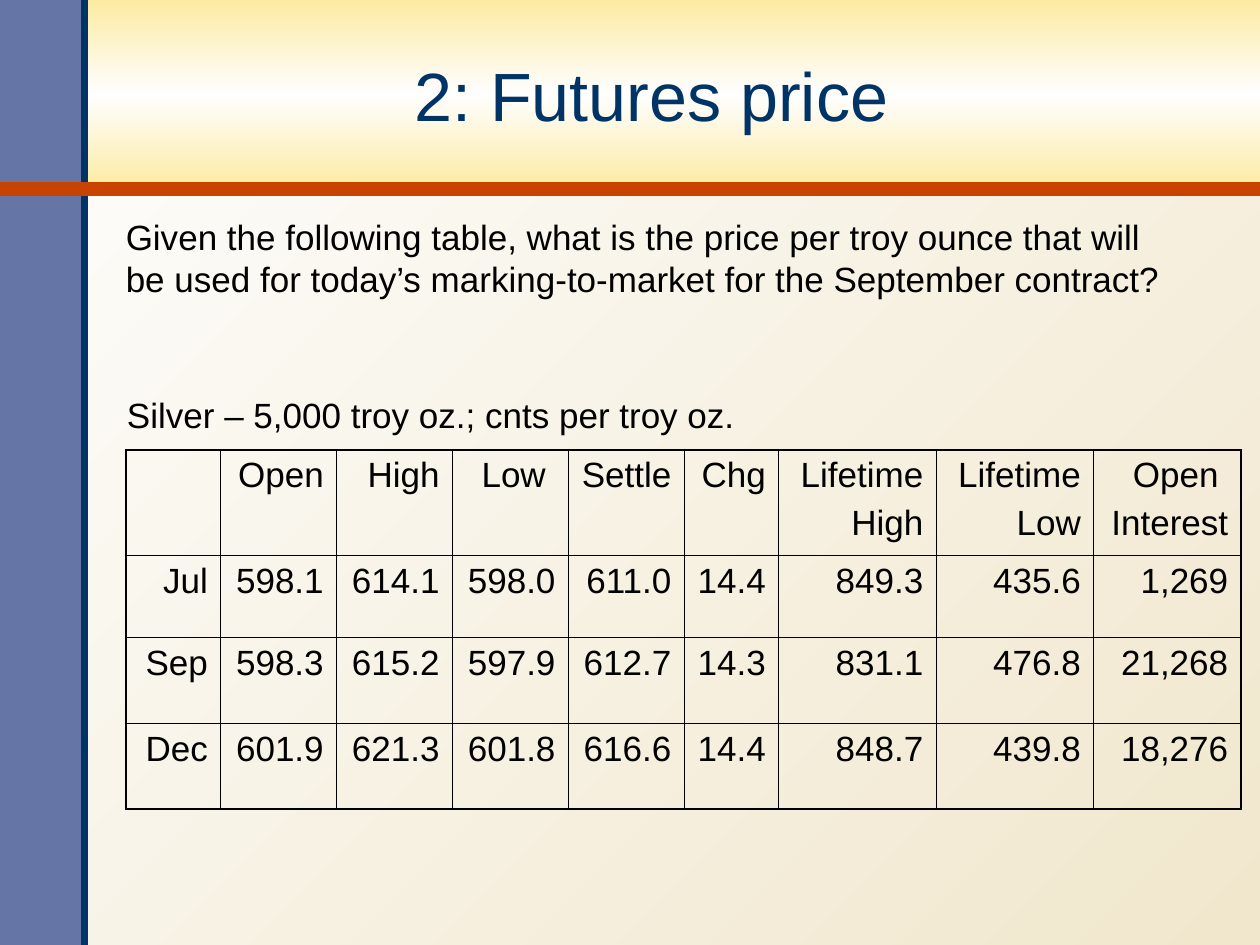
"""Build the silver futures price question slide."""
from lxml.etree import SubElement
from pptx import Presentation
from pptx.dml.color import RGBColor
from pptx.enum.shapes import MSO_CONNECTOR, MSO_SHAPE
from pptx.enum.text import MSO_ANCHOR, MSO_AUTO_SIZE, PP_ALIGN
from pptx.oxml.ns import qn
from pptx.util import Inches, Pt

NAVY = RGBColor(0x00, 0x33, 0x66)
SLATE = RGBColor(0x64, 0x75, 0xA6)
RUST = RGBColor(0xC8, 0x43, 0x00)
YELLOW = RGBColor(0xFD, 0xEB, 0xA1)
SAND = RGBColor(0xF1, 0xE7, 0xCD)
WHITE = RGBColor(0xFE, 0xFE, 0xFE)
BLACK = RGBColor(0, 0, 0)

TITLE = "2: Futures price"
TEXTS = [
    ((0.91, 3.07, 5.2, 0.44), ["Silver – 5,000 troy oz.; cnts per troy oz."]),
    ((0.9, 1.66, 8.5, 0.77), [
        "Given the following table, what is the price per troy ounce that will",
        "be used for today’s marking-to-market for the September contract?"]),
]
RULES = [
    ((0.67, 7.5, 0.67, 0), NAVY, 4),
    ((0, 1.5, 10, 1.5), RUST, 8),
]
PRICES = [
    ["", "Open", "High", "Low ", "Settle", "Chg",
     "Lifetime\nHigh", "Lifetime\nLow", "Open \nInterest"],
    ["Jul", "598.1", "614.1", "598.0", "611.0", "14.4", "849.3", "435.6", "1,269"],
    ["Sep", "598.3", "615.2", "597.9", "612.7", "14.3", "831.1", "476.8", "21,268"],
    ["Dec", "601.9", "621.3", "601.8", "616.6", "14.4", "848.7", "439.8", "18,276"],
]
COL_WIDTHS = [0.75, 0.92, 0.92, 0.92, 0.92, 0.75, 1.25, 1.25, 1.17]
ROW_HEIGHTS = [0.84, 0.65, 0.68, 0.68]
THIN, THICK = Pt(0.45), Pt(1.08)


def inches(values):
    return [Inches(v) for v in values]


def set_gradient(fill, root, colors, angle):
    fill.gradient()
    fill.gradient_angle = angle
    stops = root.find(".//" + qn("a:gsLst"))
    for stop in list(stops):
        stops.remove(stop)
    for i, color in enumerate(colors):
        gs = SubElement(stops, qn("a:gs"), pos=str(100000 * i // (len(colors) - 1)))
        SubElement(gs, qn("a:srgbClr"), val=str(color))


def add_panel(slide, box):
    s = slide.shapes.add_shape(MSO_SHAPE.RECTANGLE, *inches(box))
    s.shadow.inherit = False
    s.line.fill.background()
    return s


def add_rule(slide, ends, color, width):
    s = slide.shapes.add_connector(MSO_CONNECTOR.STRAIGHT, *inches(ends))
    s.line.color.rgb = color
    s.line.width = Pt(width)
    SubElement(s._element.spPr, qn("a:effectLst"))


def set_font(p, size, color):
    p.font.name = "Arial"
    p.font.size = Pt(size)
    p.font.color.rgb = color


def add_text(slide, box, lines):
    tf = slide.shapes.add_textbox(*inches(box)).text_frame
    tf.word_wrap = True
    tf.auto_size = MSO_AUTO_SIZE.NONE
    tf.text = "\n".join(lines)
    for p in tf.paragraphs:
        set_font(p, 20, BLACK)


def set_borders(cell, widths):
    tc_pr = cell._tc.get_or_add_tcPr()
    for side, width in zip("LRTB", widths):
        ln = SubElement(tc_pr, qn("a:ln" + side), w=str(width))
        SubElement(SubElement(ln, qn("a:solidFill")), qn("a:srgbClr"), val=str(BLACK))


def add_price_table(slide):
    n_rows, n_cols = len(PRICES), len(COL_WIDTHS)
    box = inches((1, 3.57, sum(COL_WIDTHS), sum(ROW_HEIGHTS)))
    table = slide.shapes.add_table(n_rows, n_cols, *box).table
    table.first_row = table.horz_banding = False
    for col, width in zip(table.columns, COL_WIDTHS):
        col.width = Inches(width)
    for row, height in zip(table.rows, ROW_HEIGHTS):
        row.height = Inches(height)
    for i, values in enumerate(PRICES):
        for j, value in enumerate(values):
            cell = table.cell(i, j)
            edges = (j == 0, j == n_cols - 1, i == 0, i == n_rows - 1)
            set_borders(cell, [THICK if edge else THIN for edge in edges])
            cell.fill.background()
            cell.text = value
            for k, p in enumerate(cell.text_frame.paragraphs):
                p.alignment = PP_ALIGN.RIGHT
                p.space_before = Pt(5 if k else 0)
                set_font(p, 20, BLACK)


def add_title(slide):
    s = slide.shapes.title
    slide.shapes._spTree.append(s._element)
    s.left, s.top, s.width, s.height = inches((0.65, 0.15, 9.04, 1.2))
    tf = s.text_frame
    tf.text = TITLE
    tf.auto_size = MSO_AUTO_SIZE.NONE
    tf.vertical_anchor = MSO_ANCHOR.MIDDLE
    p = tf.paragraphs[0]
    p.alignment = PP_ALIGN.CENTER
    set_font(p, 39, NAVY)


def main():
    prs = Presentation()
    prs.slide_width, prs.slide_height = Inches(10), Inches(7.5)
    slide = prs.slides.add_slide(prs.slide_layouts[5])
    set_gradient(slide.background.fill, slide._element, [SAND, WHITE], 135)
    band = add_panel(slide, (0, 0, 10, 1.5))
    set_gradient(band.fill, band._element, [YELLOW, WHITE, YELLOW], 270)
    sidebar = add_panel(slide, (0, 0, 0.67, 7.5))
    sidebar.fill.solid()
    sidebar.fill.fore_color.rgb = SLATE
    for rule in RULES:
        add_rule(slide, *rule)
    add_title(slide)
    add_price_table(slide)
    for box, lines in TEXTS:
        add_text(slide, box, lines)
    prs.save("out.pptx")


if __name__ == "__main__":
    main()
